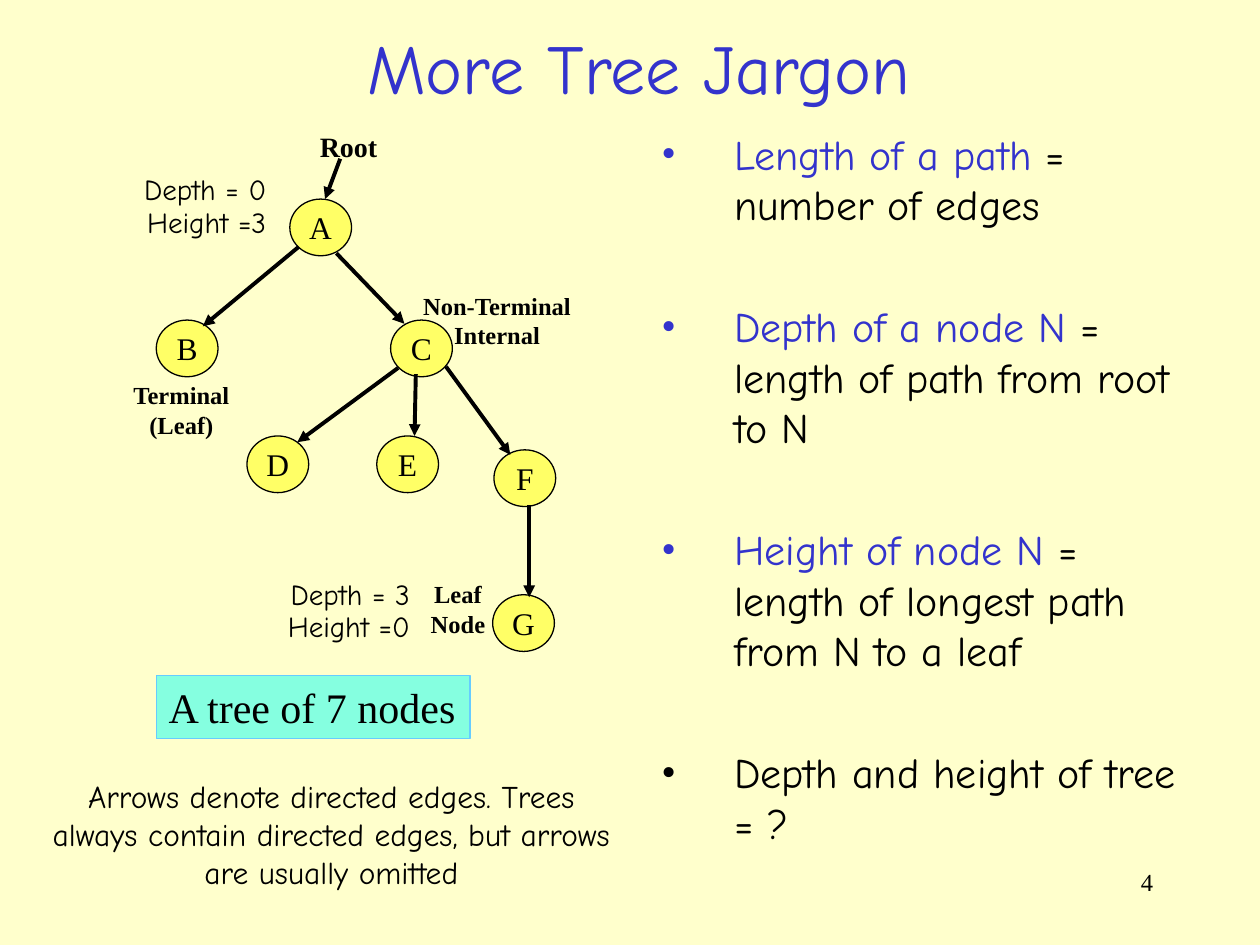
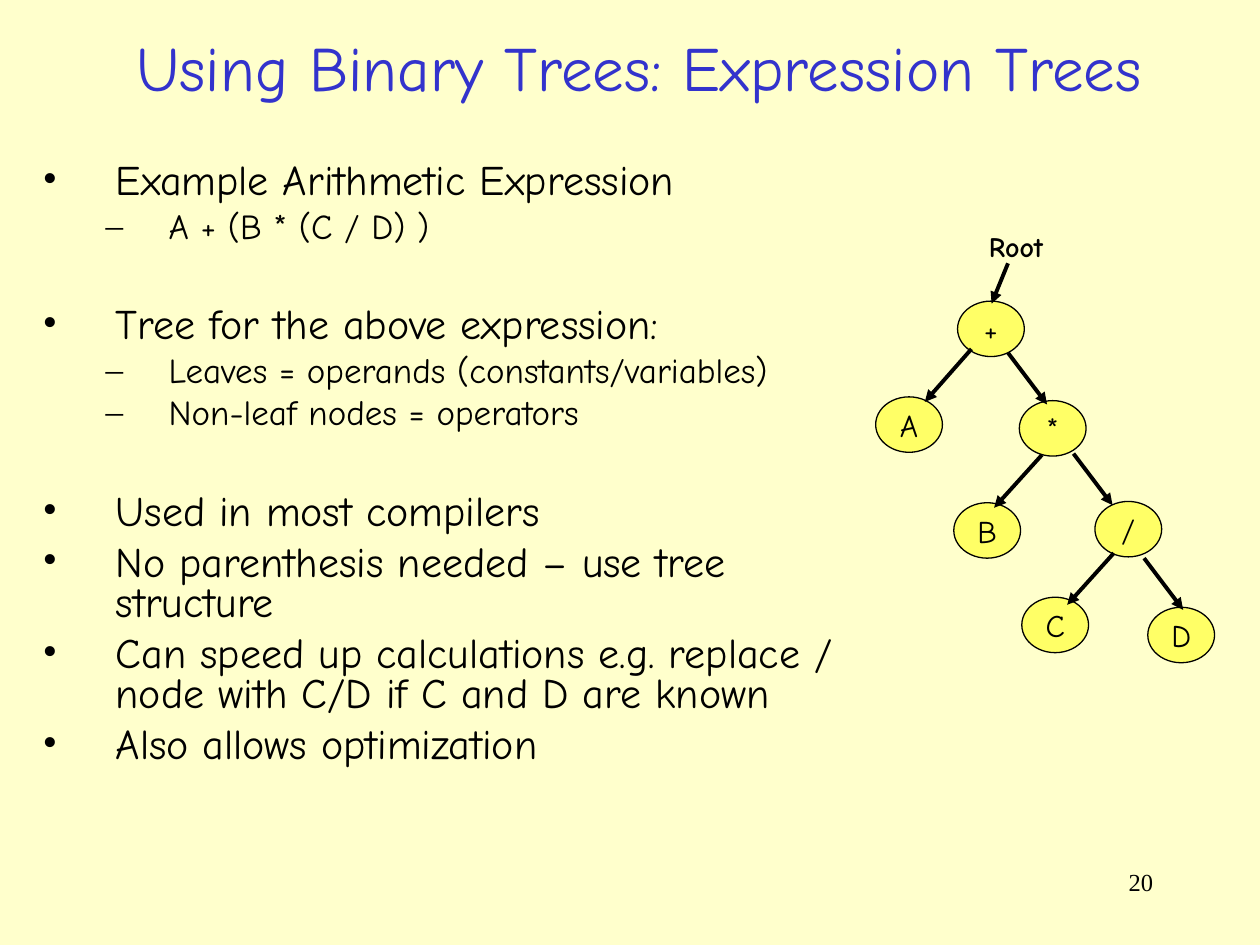
from dataclasses import dataclass
from typing import NamedTuple

from lxml import etree
from pptx import Presentation
from pptx import util as u
from pptx.dml.color import RGBColor
from pptx.enum import shapes, text
from pptx.oxml import ns

LEFT, CENTER, RIGHT = text.PP_ALIGN.LEFT, text.PP_ALIGN.CENTER, text.PP_ALIGN.RIGHT


# Shared look
@dataclass(frozen=True)
class Theme:
    paper: str = "FFFFCC"
    ink: str = "000000"
    accent: str = "3333CC"
    node: str = "FFFF66"
    caption_fill: str = "85FFE0"
    caption_line: str = "66CCFF"
    hand: str = "Comic Neue"
    serif: str = "Times New Roman"
    point_sizes: tuple[float, float] = (24, 20)
    node_size: float = 18
    note_size: float = 18
    root_size: float = 16
    measure_size: float = 16.6
    small_size: float = 14
    caption_size: float = 24
    outline: float = 0.75
    arrow: float = 2.25


THEME = Theme()


# Elements that repeat
class Area(NamedTuple):
    left: float
    top: float
    width: float
    height: float


class Node(NamedTuple):
    name: str
    left: float
    top: float


class Arrow(NamedTuple):
    x1: float
    y1: float
    x2: float
    y2: float


@dataclass(frozen=True)
class Tree:
    node_width: float
    node_height: float
    font: str
    nodes: list[Node]
    arrows: list[Arrow]


@dataclass(frozen=True)
class Label:
    area: Area
    lines: list[str]
    size: float
    font: str = THEME.serif
    bold: bool = False
    align: text.PP_ALIGN = CENTER
    wrap: bool = False
    line_spacing: float = 1.0
    gap: float = 0


@dataclass(frozen=True)
class Point:
    rest: str
    term: str = ""
    level: int = 0
    before: float = 6


@dataclass(frozen=True)
class Page:
    title: str
    title_size: float
    number: str
    points_area: Area
    points_spacing: float
    points: list[Point]
    tree: Tree
    labels: list[Label]


def rgb(value: str) -> RGBColor:
    return RGBColor.from_string(value)


def inches(values) -> list[u.Length]:
    return [u.Inches(value) for value in values]


def set_font(font, name: str, size: float, color: str = THEME.ink, bold: bool = False) -> None:
    font.name, font.size, font.bold = name, u.Pt(size), bold
    font.color.rgb = rgb(color)


def paint(shape, fill: str, line: str) -> None:
    shape.shadow.inherit = False
    shape.fill.solid()
    shape.fill.fore_color.rgb = rgb(fill)
    shape.line.color.rgb = rgb(line)
    shape.line.width = u.Pt(THEME.outline)


def write_label(shape, label: Label) -> None:
    frame = shape.text_frame
    frame.word_wrap = label.wrap
    for index, line in enumerate(label.lines):
        para = frame.add_paragraph() if index else frame.paragraphs[0]
        para.text = line
        para.alignment = label.align
        para.line_spacing = label.line_spacing
        para.space_before = u.Pt(label.gap if index else 0)
        set_font(para.font, label.font, label.size, bold=label.bold)


def add_label(page, label: Label) -> None:
    box = page.shapes.add_textbox(*inches(label.area))
    write_label(box, label)
    if not label.wrap:
        box.text_frame.auto_size = text.MSO_AUTO_SIZE.SHAPE_TO_FIT_TEXT


def add_title(page, title: str, size: float) -> None:
    box = page.shapes.title
    box.left, box.top, box.width, box.height = inches(Area(0.3, 0.15, 9.54, 0.76))
    frame = box.text_frame
    frame.auto_size = text.MSO_AUTO_SIZE.NONE
    frame.vertical_anchor = text.MSO_ANCHOR.MIDDLE
    para = frame.paragraphs[0]
    para.text = title
    para.alignment = CENTER
    set_font(para.font, THEME.hand, size, THEME.accent)


def add_bullet(para, level: int, color: str) -> None:
    margin, hang = ((0.58, 0.58), (1.0, 0.5))[level]
    props = para._p.get_or_add_pPr()
    props.set("marL", str(u.Inches(margin)))
    props.set("indent", str(-u.Inches(hang)))
    bullet_color = etree.SubElement(props, ns.qn("a:buClr"))
    etree.SubElement(bullet_color, ns.qn("a:srgbClr"), val=color)
    etree.SubElement(props, ns.qn("a:buFont"), typeface=THEME.serif)
    etree.SubElement(props, ns.qn("a:buChar"), char="•–"[level])


def add_points(page, area: Area, spacing: float, points: list[Point]) -> None:
    frame = page.shapes.add_textbox(*inches(area)).text_frame
    frame.word_wrap = True
    for index, point in enumerate(points):
        para = frame.add_paragraph() if index else frame.paragraphs[0]
        para.level = point.level
        para.line_spacing = spacing
        para.space_before = u.Pt(point.before if index else 0)
        add_bullet(para, point.level, THEME.accent if point.term else THEME.ink)
        set_font(para.font, THEME.hand, THEME.point_sizes[point.level])
        if point.term:
            span = para.add_run()
            span.text = point.term
            span.font.color.rgb = rgb(THEME.accent)
        para.add_run().text = point.rest


def add_arrow(page, arrow: Arrow) -> None:
    line = page.shapes.add_connector(shapes.MSO_CONNECTOR.STRAIGHT, *inches(arrow))
    line.line.color.rgb = rgb(THEME.ink)
    line.line.width = u.Pt(THEME.arrow)
    etree.SubElement(line.line._get_or_add_ln(), ns.qn("a:tailEnd"), type="triangle")
    etree.SubElement(line._element.spPr, ns.qn("a:effectLst"))


def add_tree(page, tree: Tree) -> None:
    for node in tree.nodes:
        area = Area(node.left, node.top, tree.node_width, tree.node_height)
        oval = page.shapes.add_shape(shapes.MSO_SHAPE.OVAL, *inches(area))
        paint(oval, THEME.node, THEME.ink)
        oval.text_frame.vertical_anchor = text.MSO_ANCHOR.MIDDLE
        write_label(oval, Label(area, [node.name], THEME.node_size, tree.font))
    for arrow in tree.arrows:
        add_arrow(page, arrow)


def add_page(deck, content: Page):
    page = deck.slides.add_slide(deck.slide_layouts[5])
    add_title(page, content.title, content.title_size)
    add_points(page, content.points_area, content.points_spacing, content.points)
    add_tree(page, content.tree)
    for label in content.labels:
        add_label(page, label)
    add_label(page, Label(Area(7.17, 6.83, 2.08, 0.5), [content.number],
                          THEME.small_size, align=RIGHT, wrap=True))
    return page


def measures(left: float, top: float, lines: list[str]) -> Label:
    return Label(Area(left, top, 1.39, 0.62), lines, THEME.measure_size, THEME.hand,
                 align=RIGHT, wrap=True, line_spacing=0.7, gap=4.5)


def role(area: Area, *lines: str) -> Label:
    return Label(area, list(lines), THEME.small_size, bold=True)


def root(left: float, top: float, font: str) -> Label:
    return Label(Area(left, top, 0.7, 0.37), ["Root"], THEME.root_size, font,
                 bold=True, align=LEFT)


# Slide contents
JARGON = Page(
    title="More Tree Jargon", title_size=40, number="4",
    points_area=Area(5.15, 0.97, 4.46, 6.08), points_spacing=1.0,
    points=[
        Point(" = number of edges", "Length of a path"),
        Point(" = length of path from root to N", "Depth of a node N", before=41),
        Point(" = length of longest path from N to a leaf", "Height of node N", before=41),
        Point("Depth and height of tree = ?", before=41),
    ],
    tree=Tree(
        0.49, 0.45, THEME.serif,
        [Node("A", 2.3, 1.58), Node("B", 1.24, 2.54), Node("C", 3.1, 2.54),
         Node("D", 1.96, 3.46), Node("E", 2.99, 3.46), Node("F", 3.92, 3.57),
         Node("G", 3.91, 4.72)],
        [Arrow(2.7, 1.26, 2.58, 1.58), Arrow(2.37, 1.96, 1.61, 2.59),
         Arrow(2.67, 2.01, 3.21, 2.57), Arrow(3.16, 2.92, 2.36, 3.51),
         Arrow(3.3, 2.97, 3.29, 3.46), Arrow(3.54, 2.91, 4.05, 3.61),
         Arrow(4.2, 4.01, 4.2, 4.74)],
    ),
    labels=[
        measures(0.82, 1.39, ["Depth = 0", "Height =3"]),
        measures(1.96, 4.6, ["Depth = 3", "Height =0"]),
        root(2.44, 0.98, THEME.serif),
        role(Area(0.95, 2.97, 0.98, 0.57), "Terminal", "(Leaf)"),
        role(Area(3.25, 2.26, 1.39, 0.57), "Non-Terminal", "Internal"),
        role(Area(3.32, 4.55, 0.63, 0.57), "Leaf", "Node"),
        Label(Area(0.23, 6.12, 4.8, 1),
              ["Arrows denote directed edges. Trees always contain directed edges, "
               "but arrows are usually omitted"],
              THEME.note_size, THEME.hand, wrap=True),
    ],
)
CAPTION = Label(Area(1.24, 5.36, 2.49, 0.5), ["A tree of 7 nodes"],
                THEME.caption_size, align=LEFT)

EXPRESSIONS = Page(
    title="Using Binary Trees: Expression Trees", title_size=36, number="20",
    points_area=Area(0.24, 1.25, 6.71, 5.47), points_spacing=0.8,
    points=[
        Point("Example Arithmetic Expression"),
        Point("A + (B * (C / D) )", level=1, before=5),
        Point("Tree for the above expression:", before=35),
        Point("Leaves = operands (constants/variables)", level=1, before=5),
        Point("Non-leaf nodes = operators", level=1, before=5),
        Point("Used in most compilers", before=35),
        Point("No parenthesis needed – use tree structure"),
        Point("Can speed up calculations e.g. replace / node with C/D if C and D are known"),
        Point("Also allows optimization"),
    ],
    tree=Tree(
        0.53, 0.44, THEME.hand,
        [Node("+", 7.6, 2.39), Node("A", 6.95, 3.15), Node("*", 8.09, 3.18),
         Node("B", 7.57, 3.99), Node("/", 8.69, 3.98), Node("C", 8.11, 4.74),
         Node("D", 9.11, 4.82)],
        [Arrow(8, 2.09, 7.87, 2.41), Arrow(7.71, 2.77, 7.34, 3.19),
         Arrow(8, 2.8, 8.31, 3.21), Arrow(8.27, 3.61, 7.89, 4.03),
         Arrow(8.52, 3.6, 8.83, 4.01), Arrow(8.84, 4.39, 8.47, 4.8),
         Arrow(9.08, 4.43, 9.39, 4.84)],
    ),
    labels=[root(7.75, 1.77, THEME.hand)],
)


def main() -> None:
    deck = Presentation()
    deck.slide_width, deck.slide_height = u.Inches(10), u.Inches(7.5)
    paper = deck.slide_master.background.fill
    paper.solid()
    paper.fore_color.rgb = rgb(THEME.paper)

    jargon_page = add_page(deck, JARGON)
    caption = jargon_page.shapes.add_shape(shapes.MSO_SHAPE.RECTANGLE, *inches(CAPTION.area))
    paint(caption, THEME.caption_fill, THEME.caption_line)
    write_label(caption, CAPTION)

    add_page(deck, EXPRESSIONS)
    deck.save("out.pptx")


if __name__ == "__main__":
    main()
